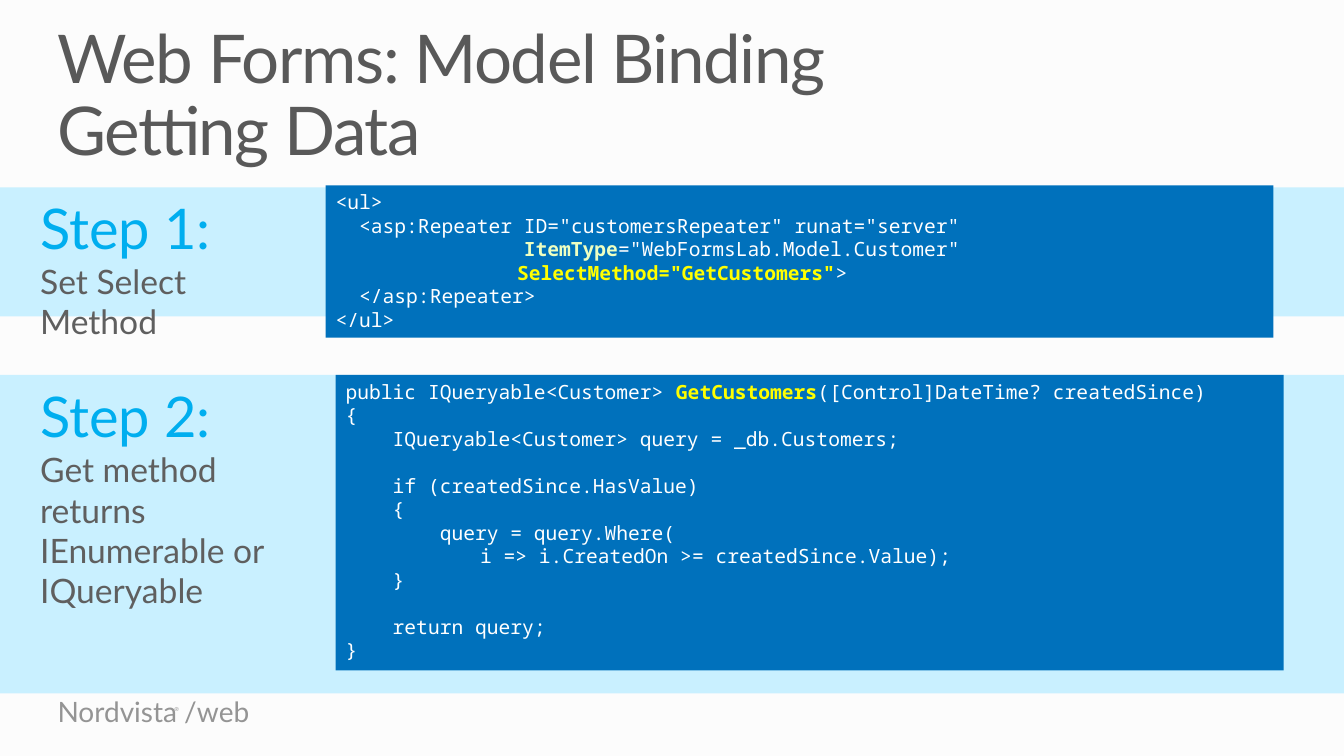
from dataclasses import dataclass

from pptx import Presentation
from pptx.dml.color import RGBColor
from pptx.enum.shapes import MSO_SHAPE
from pptx.enum.text import MSO_ANCHOR, PP_ALIGN
from pptx.util import Inches, Pt

SLIDE_WIDTH = Inches(13.33)
SLIDE_HEIGHT = Inches(7.5)


@dataclass(frozen=True)
class Theme:
    """Colours, fonts and type sizes of the slide."""

    background: str = "FCFCFC"
    band: str = "C9F0FF"
    panel: str = "0071BC"
    title: str = "595959"
    step: str = "00AEEF"
    detail: str = "5F5F5F"
    footer: str = "949494"
    code: str = "FFFFFF"
    item_type: str = "EDFFC1"
    method: str = "FFFF00"
    text_font: str = "Lato"
    code_font: str = "Noto Sans Mono"
    title_size: float = 48
    step_size: float = 40
    detail_size: float = 24
    footer_size: float = 20
    mark_size: float = 4
    code_size: float = 14
    code_line: float = 16.75
    code_column: float = 8.4


THEME = Theme()

# Each code line: indent in characters, blank lines above, runs of (text, highlight).
MARKUP = [
    (0, 0, [("<ul>", None)]),
    (2, 0, [('<asp:Repeater ID="customersRepeater" runat="server"', None)]),
    (16, 0, [("ItemType", THEME.item_type), ('="WebFormsLab.Model.Customer"', None)]),
    (15.43, 0, [('SelectMethod="GetCustomers"', THEME.method), (">", None)]),
    (2, 0, [("</asp:Repeater>", None)]),
    (0, 0, [("</ul>", None)]),
]
QUERY = [
    (0, 0, [("public IQueryable<Customer> ", None), ("GetCustomers", THEME.method),
            ("([Control]DateTime? createdSince)", None)]),
    (0, 0, [("{", None)]),
    (4, 0, [("IQueryable<Customer> query = _db.Customers;", None)]),
    (4, 1, [("if (createdSince.HasValue)", None)]),
    (4, 0, [("{", None)]),
    (8, 0, [("query = query.Where(", None)]),
    (11.43, 0, [("i => i.CreatedOn >= createdSince.Value);", None)]),
    (4, 0, [("}", None)]),
    (4, 1, [("return query;", None)]),
    (0, 0, [("}", None)]),
]

# Places are left, top, width and height in percent of the slide.
STEPS = [
    ("Step 1:", "Set Select Method", MARKUP, (0, 24.8, 100, 17.07),
     (24.23, 24.53, 70.52, 20.13), (2.25, 24.93, 20.71, 15.73)),
    ("Step 2:", "Get method returns IEnumerable or IQueryable", QUERY, (0, 49.6, 100, 42.13),
     (24.98, 49.6, 70.52, 39.07), (2.25, 49.87, 19.13, 31.87)),
]


def place(shares):
    """Turn percentages of the slide into lengths."""
    sides = (SLIDE_WIDTH, SLIDE_HEIGHT) * 2
    return [round(side * share / 100) for side, share in zip(sides, shares)]


def add_rectangle(slide, shares, color):
    """Add a flat rectangle without outline."""
    shape = slide.shapes.add_shape(MSO_SHAPE.RECTANGLE, *place(shares))
    shape.shadow.inherit = False
    shape.fill.solid()
    shape.fill.fore_color.rgb = RGBColor.from_string(color)
    shape.line.fill.background()
    return shape


def add_text_box(slide, shares, inset=True, wrap=True):
    """Add an empty text box and return its text frame."""
    frame = slide.shapes.add_textbox(*place(shares)).text_frame
    frame.word_wrap = wrap
    if not inset:
        frame.margin_left = frame.margin_right = 0
        frame.margin_top = frame.margin_bottom = 0
    return frame


def next_paragraph(frame):
    """Return the unused first paragraph or a new one."""
    first = frame.paragraphs[0]
    return frame.add_paragraph() if first.runs else first


def write(paragraph, text, *, size, color, font=THEME.text_font, bold=False, tracking=0):
    """Write formatted text, with line breaks, into a paragraph."""
    for index, line in enumerate(text.split("\n")):
        if index:
            paragraph.add_line_break()
        run = paragraph.add_run()
        run.text = line
        run.font.name = font
        run.font.size = Pt(size)
        run.font.bold = bold
        run.font.color.rgb = RGBColor.from_string(color)
        if tracking:
            run._r.get_or_add_rPr().set("spc", str(tracking * 100))


def add_code(slide, shares, lines):
    """Add a panel of indented, highlighted code."""
    frame = add_rectangle(slide, shares, THEME.panel).text_frame
    frame.word_wrap = True
    frame.vertical_anchor = MSO_ANCHOR.TOP
    for indent, blank_lines, runs in lines:
        paragraph = next_paragraph(frame)
        paragraph.alignment = PP_ALIGN.LEFT
        paragraph.line_spacing = Pt(THEME.code_line)
        paragraph.space_before = Pt(blank_lines * THEME.code_line)
        properties = paragraph._p.get_or_add_pPr()
        properties.set("marL", str(Pt(indent * THEME.code_column)))
        properties.set("indent", "0")
        for text, highlight in runs:
            write(paragraph, text, size=THEME.code_size, font=THEME.code_font,
                  color=highlight or THEME.code, bold=highlight is not None)


def add_step(slide, heading, detail, code, band, panel, label):
    """Add a band with its code panel and step label."""
    add_rectangle(slide, band, THEME.band)
    add_code(slide, panel, code)
    frame = add_text_box(slide, label)
    write(next_paragraph(frame), heading, size=THEME.step_size, color=THEME.step)
    write(next_paragraph(frame), detail, size=THEME.detail_size, color=THEME.detail)


def add_title(slide):
    """Add the two-line title."""
    paragraph = add_text_box(slide, (4.28, 3.33, 91.45, 19.33), inset=False).paragraphs[0]
    paragraph.line_spacing = 0.9
    write(paragraph, "Web Forms: Model Binding\nGetting Data",
          size=THEME.title_size, color=THEME.title, tracking=-1)


def add_footer(slide):
    """Add the footer name and its small mark."""
    name = add_text_box(slide, (4.28, 92.4, 14.48, 4), inset=False).paragraphs[0]
    name.line_spacing = 0.9
    write(name, "Nordvista /web", size=THEME.footer_size, color=THEME.footer)
    mark = add_text_box(slide, (12.98, 93.33, 0.38, 0.93), inset=False, wrap=False)
    write(mark.paragraphs[0], "®", size=THEME.mark_size, color=THEME.footer)


def main():
    """Build and save the slide."""
    presentation = Presentation()
    presentation.slide_width = SLIDE_WIDTH
    presentation.slide_height = SLIDE_HEIGHT
    slide = presentation.slides.add_slide(presentation.slide_layouts[6])
    slide.background.fill.solid()
    slide.background.fill.fore_color.rgb = RGBColor.from_string(THEME.background)
    add_footer(slide)
    add_title(slide)
    for step in STEPS:
        add_step(slide, *step)
    presentation.save("out.pptx")


if __name__ == "__main__":
    main()
